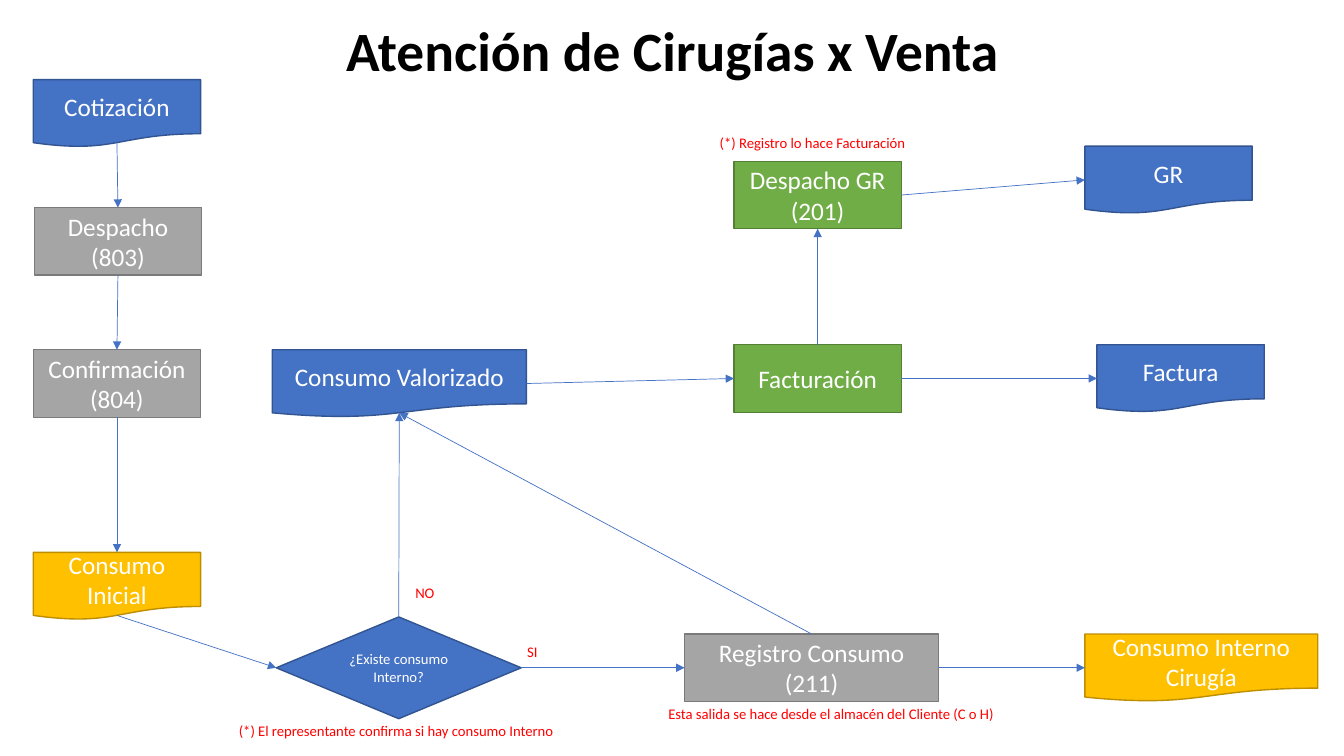
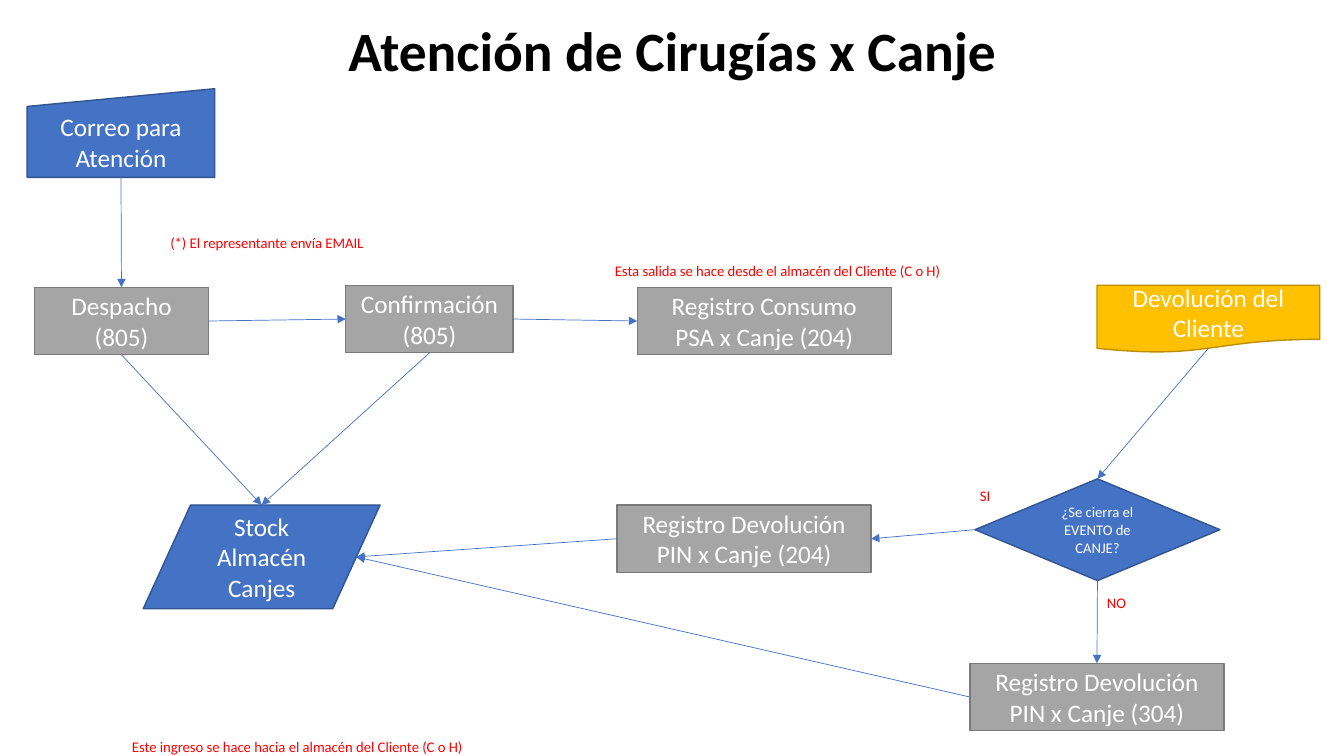
"""Build two flowcharts of how surgeries are served: by sale and by exchange."""
from dataclasses import dataclass

from lxml.etree import SubElement
from pptx import Presentation
from pptx.dml.color import RGBColor
from pptx.enum.shapes import MSO_CONNECTOR, MSO_SHAPE
from pptx.enum.text import MSO_ANCHOR, MSO_AUTO_SIZE, PP_ALIGN
from pptx.oxml.ns import qn
from pptx.util import Emu, Pt


@dataclass(frozen=True)
class Theme:
    """Colours, type sizes and line widths shared by both slides."""
    font: str = "Calibri"
    title: float = 39.6
    body: float = 18
    small: float = 10.5
    outline: float = 1
    arrow: float = 0.5
    black: str = "000000"
    white: str = "FFFFFF"
    red: str = "FF0000"
    blue: tuple = ("4472C4", "325491")
    gray: tuple = ("A5A5A5", "7A7A7A")
    green: tuple = ("70AD47", "538035")
    gold: tuple = ("FFC000", "BD8E00")


THEME = Theme()
PX = 9144
SLIDE_WIDTH, SLIDE_HEIGHT = 1333, 750
NODE, WIDE, DECISION = (166, 67), (252, 67), (243, 101)

DOCUMENT = MSO_SHAPE.FLOWCHART_DOCUMENT
PROCESS = MSO_SHAPE.FLOWCHART_PROCESS
CHOICE = MSO_SHAPE.FLOWCHART_DECISION
MANUAL = MSO_SHAPE.FLOWCHART_MANUAL_INPUT
STORE = MSO_SHAPE.FLOWCHART_DATA

SITES = {
    "top": (0, 0.5, 0),
    "left": (1, 0, 0.5),
    "bottom": (2, 0.5, 1),
    "right": (3, 1, 0.5),
}
SPECIAL_SITES = {
    (DOCUMENT, "bottom"): (2, 0.5, 0.934),
    (STORE, "top"): (1, 0.5, 0),
    (STORE, "right"): (5, 0.9, 0.5),
}

SALE = {
    "title": "Atención de Cirugías x Venta",
    "nodes": {
        "quote": (DOCUMENT, THEME.blue, (33, 79), NODE, "Cotización"),
        "dispatch": (PROCESS, THEME.gray, (34, 206), NODE, "Despacho (803)"),
        "confirmation": (PROCESS, THEME.gray, (33, 347), NODE, "Confirmación\n(804)"),
        "initial use": (DOCUMENT, THEME.gold, (33, 548), NODE, "Consumo Inicial"),
        "valued use": (DOCUMENT, THEME.blue, (270, 347), WIDE, "Consumo Valorizado"),
        "billing": (PROCESS, THEME.green, (728, 342), NODE, "Facturación"),
        "invoice": (DOCUMENT, THEME.blue, (1088, 342), NODE, "Factura"),
        "GR dispatch": (PROCESS, THEME.green, (728, 160), NODE, "Despacho GR\n(201)"),
        "GR": (DOCUMENT, THEME.blue, (1076, 145), NODE, "GR"),
        "internal?": (CHOICE, THEME.blue, (274, 612), DECISION, "¿Existe consumo Interno?"),
        "use record": (PROCESS, THEME.gray, (679, 629), WIDE, "Registro Consumo\n(211)"),
        "internal use": (DOCUMENT, THEME.gold, (1076, 629), (231, 67),
                         "Consumo Interno\nCirugía"),
    },
    "arrows": [
        ("quote", "bottom", "dispatch", "top"),
        ("dispatch", "bottom", "confirmation", "top"),
        ("confirmation", "bottom", "initial use", "top"),
        ("initial use", "bottom", "internal?", "left"),
        ("internal?", "top", "valued use", "bottom"),
        ("internal?", "right", "use record", "left"),
        ("use record", "top", "valued use", "bottom"),
        ("use record", "right", "internal use", "left"),
        ("valued use", "right", "billing", "left"),
        ("billing", "top", "GR dispatch", "bottom"),
        ("billing", "right", "invoice", "left"),
        ("GR dispatch", "right", "GR", "left"),
    ],
    "notes": [
        ((227, 711), 351, "(*) El representante confirma si hay consumo Interno"),
        ((704, 128), 214, "(*) Registro lo hace Facturación"),
        ((513, 633), 35, "SI"),
        ((402, 574), 48, "NO"),
        ((653, 694), 351, "Esta salida se hace desde el almacén del Cliente (C o H)"),
    ],
}

EXCHANGE = {
    "title": "Atención de Cirugías x Canje",
    "nodes": {
        "mail": (MANUAL, THEME.blue, (27, 88), (186, 88), "Correo para Atención"),
        "dispatch": (PROCESS, THEME.gray, (34, 285), (173, 67), "Despacho (805)"),
        "confirmation": (PROCESS, THEME.gray, (343, 283), NODE, "Confirmación\n(805)"),
        "use record": (PROCESS, THEME.gray, (632, 285), WIDE,
                       "Registro Consumo\nPSA x Canje (204)"),
        "return": (DOCUMENT, THEME.gold, (1088, 283), (221, 67), "Devolución del Cliente"),
        "closed?": (CHOICE, THEME.blue, (967, 475), DECISION,
                    "¿Se cierra el EVENTO de CANJE?"),
        "closed return": (PROCESS, THEME.gray, (612, 501), WIDE,
                          "Registro Devolución\nPIN x Canje (204)"),
        "open return": (PROCESS, THEME.gray, (962, 658), WIDE,
                        "Registro Devolución\nPIN x Canje (304)"),
        "stock": (STORE, THEME.blue, (142, 501), (235, 103), "Stock\nAlmacén\nCanjes"),
    },
    "arrows": [
        ("mail", "bottom", "dispatch", "top"),
        ("dispatch", "right", "confirmation", "left"),
        ("confirmation", "right", "use record", "left"),
        ("dispatch", "bottom", "stock", "top"),
        ("confirmation", "bottom", "stock", "top"),
        ("return", "bottom", "closed?", "top"),
        ("closed?", "left", "closed return", "right"),
        ("closed?", "bottom", "open return", "top"),
        ("closed return", "left", "stock", "right"),
        ("open return", "left", "stock", "right"),
    ],
    "notes": [
        ((600, 255), 351, "Esta salida se hace desde el almacén del Cliente (C o H)"),
        ((159, 227), 351, "(*) El representante envía EMAIL"),
        ((121, 727), 351, "Este ingreso se hace hacia el almacén del Cliente (C o H)"),
        ((962, 478), 35, "SI"),
        ((1088, 584), 48, "NO"),
    ],
}


def px(*lengths):
    """Turn px lengths into EMU."""
    return [Emu(round(length * PX)) for length in lengths]


def apply_format(target, values):
    """Set each attribute of the target from a dict."""
    for attribute, value in values.items():
        setattr(target, attribute, value)


def write_text(frame, text, size, color, align, bold=False, spacing=1.0):
    """Write one formatted paragraph per line of text."""
    frame.word_wrap = True
    frame.text = text
    for paragraph in frame.paragraphs:
        apply_format(paragraph, {"alignment": align, "line_spacing": spacing})
        apply_format(paragraph.font, {"name": THEME.font, "size": Pt(size), "bold": bold})
        paragraph.font.color.rgb = RGBColor.from_string(color)


def add_title(slide, title):
    """Add the centred bold slide title."""
    frame = slide.shapes.add_textbox(*px(92, 17, 1150, 73)).text_frame
    frame.vertical_anchor = MSO_ANCHOR.MIDDLE
    write_text(frame, title, THEME.title, THEME.black, PP_ALIGN.CENTER, True, 0.9)


def add_note(slide, position, width, text):
    """Add a small red remark or branch label."""
    frame = slide.shapes.add_textbox(*px(*position, width, 28)).text_frame
    write_text(frame, text, THEME.small, THEME.red, PP_ALIGN.JUSTIFY)
    frame.auto_size = MSO_AUTO_SIZE.SHAPE_TO_FIT_TEXT


def add_node(slide, preset, colors, position, size, text):
    """Add one flowchart step and return it."""
    node = slide.shapes.add_shape(preset, *px(*position, *size))
    fill, outline = map(RGBColor.from_string, colors)
    node.shadow.inherit = False
    node.fill.solid()
    node.fill.fore_color.rgb = fill
    node.line.color.rgb = outline
    node.line.width = Pt(THEME.outline)
    node.text_frame.vertical_anchor = MSO_ANCHOR.MIDDLE
    text_size = THEME.small if preset == CHOICE else THEME.body
    write_text(node.text_frame, text, text_size, THEME.white, PP_ALIGN.CENTER)
    return node


def locate_site(node, side):
    """Return the connection index and position on one side of a step."""
    site, across, down = SPECIAL_SITES.get((node.auto_shape_type, side), SITES[side])
    return (site, Emu(round(node.left + across * node.width)),
            Emu(round(node.top + down * node.height)))


def add_arrow(slide, source, source_side, target, target_side):
    """Join two steps with a thin arrow glued at both ends."""
    start_site, start_x, start_y = locate_site(source, source_side)
    end_site, end_x, end_y = locate_site(target, target_side)
    arrow = slide.shapes.add_connector(MSO_CONNECTOR.STRAIGHT, start_x, start_y, end_x, end_y)
    arrow.begin_connect(source, 0)
    arrow.end_connect(target, 0)
    apply_format(arrow, {"begin_x": start_x, "begin_y": start_y,
                         "end_x": end_x, "end_y": end_y})
    for tag, site in (("a:stCxn", start_site), ("a:endCxn", end_site)):
        next(arrow.element.iter(qn(tag))).set("idx", str(site))
    arrow.line.color.rgb = RGBColor.from_string(THEME.blue[0])
    arrow.line.width = Pt(THEME.arrow)
    SubElement(arrow.line._get_or_add_ln(), qn("a:tailEnd"), type="triangle")
    SubElement(arrow.element.spPr, qn("a:effectLst"))


def add_flowchart(deck, chart):
    """Add one slide with its title, steps, arrows and notes."""
    slide = deck.slides.add_slide(deck.slide_layouts[6])
    add_title(slide, chart["title"])
    nodes = {key: add_node(slide, *node) for key, node in chart["nodes"].items()}
    for source, source_side, target, target_side in chart["arrows"]:
        add_arrow(slide, nodes[source], source_side, nodes[target], target_side)
    for note in chart["notes"]:
        add_note(slide, *note)


def main():
    """Build and save the deck."""
    deck = Presentation()
    deck.slide_width, deck.slide_height = px(SLIDE_WIDTH, SLIDE_HEIGHT)
    for chart in (SALE, EXCHANGE):
        add_flowchart(deck, chart)
    deck.save("out.pptx")


if __name__ == "__main__":
    main()
